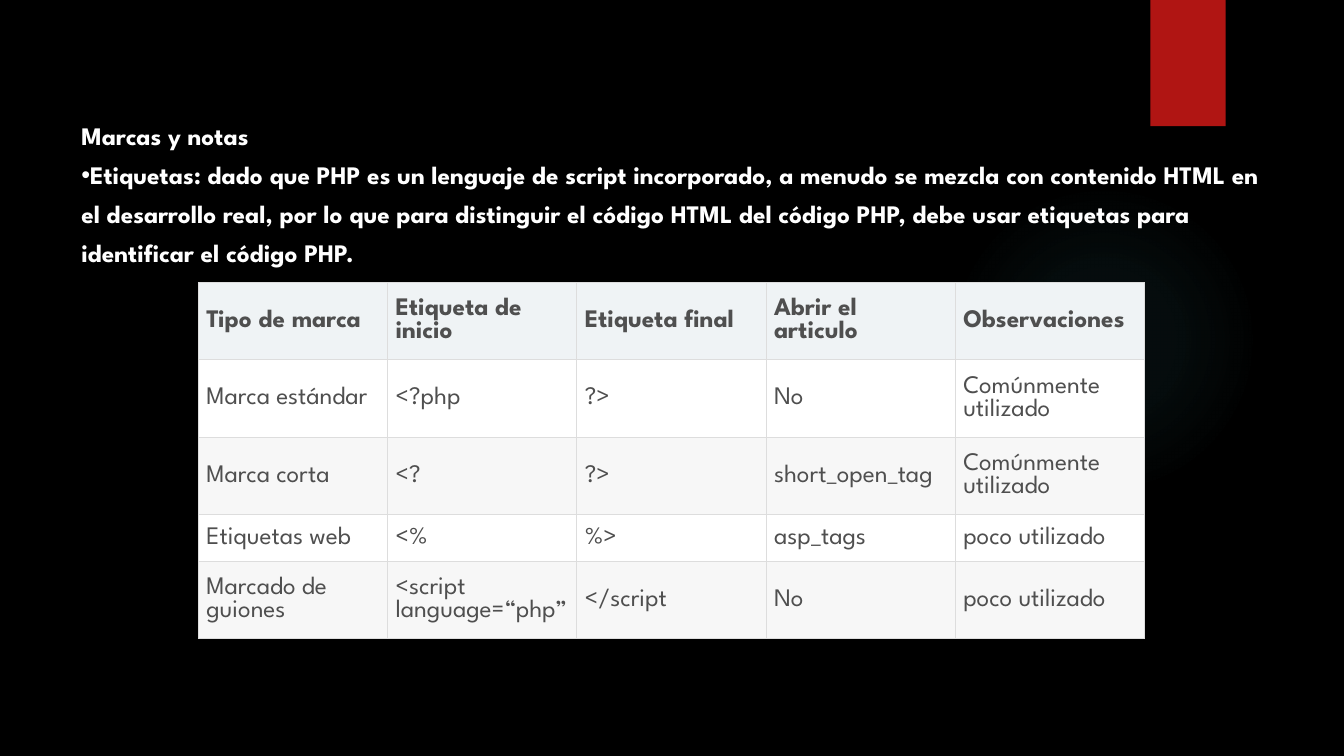
from lxml import etree
from pptx import Presentation
from pptx.dml.color import RGBColor
from pptx.enum.shapes import MSO_SHAPE as SHAPE
from pptx.enum.text import MSO_ANCHOR as ANCHOR
from pptx.oxml import parse_xml
from pptx.oxml.ns import nsdecls, qn
from pptx.util import Cm, Pt

BLACK = RGBColor(0x00, 0x00, 0x00)
WHITE = RGBColor(0xFF, 0xFF, 0xFF)
RED = RGBColor(0xB0, 0x15, 0x13)
TEAL = RGBColor(0x50, 0xB9, 0xC1)
GREY_TEXT = RGBColor(0x4F, 0x4F, 0x4F)
HEADER = RGBColor(0xEF, 0xF3, 0xF5)
BAND = RGBColor(0xF7, 0xF7, 0xF7)
BORDER = RGBColor(0xDD, 0xDD, 0xDD)
FONT = "League Spartan"


def format_run(r, color, bold):
    r.font.name = FONT
    r.font.size = Pt(18)
    r.font.bold = bold
    r.font.color.rgb = color


def add_borders(cell):
    tcPr = cell._tc.get_or_add_tcPr()
    for i, side in enumerate(("lnL", "lnR", "lnT", "lnB")):
        tcPr.insert(i, parse_xml(
            f'<a:{side} {nsdecls("a")} w="{Pt(0.75)}"><a:solidFill>'
            f'<a:srgbClr val="{BORDER}"/></a:solidFill></a:{side}>'))


prs = Presentation()
prs.slide_width = Cm(33.87)
prs.slide_height = Cm(19.05)
s = prs.slides.add_slide(prs.slide_layouts[6])
s.background.fill.solid()
s.background.fill.fore_color.rgb = BLACK

glow = s.shapes.add_shape(SHAPE.OVAL, Cm(23.9), Cm(4.65), Cm(7.82), Cm(7.82))
glow.shadow.inherit = False
glow.line.fill.background()
glow.fill.background()
stops = "".join(
    f'<a:gs pos="{pos * 1000}"><a:srgbClr val="{TEAL}">'
    f'<a:alpha val="{alpha * 1000}"/></a:srgbClr></a:gs>'
    for pos, alpha in ((0, 7), (36, 6), (69, 0)))
spPr = glow._element.spPr
spPr.replace(spPr.find(qn("a:noFill")), parse_xml(
    f'<a:gradFill {nsdecls("a")}><a:gsLst>{stops}</a:gsLst><a:path path="circle">'
    '<a:fillToRect l="50000" t="50000" r="50000" b="50000"/></a:path></a:gradFill>'))

tab = s.shapes.add_shape(SHAPE.RECTANGLE, Cm(28.99), 0, Cm(1.9), Cm(3.18))
tab.shadow.inherit = False
tab.fill.solid()
tab.fill.fore_color.rgb = RED
tab.line.fill.background()

intro = s.shapes.add_textbox(Cm(1.8), Cm(2.67), Cm(30.25), Cm(3.33))
tf = intro.text_frame
tf.word_wrap = True
tf.text = (
    "Marcas y notas\n"
    "Etiquetas: dado que PHP es un lenguaje de script incorporado, a menudo se mezcla "
    "con contenido HTML en el desarrollo real, por lo que para distinguir el código HTML "
    "del código PHP, debe usar etiquetas para identificar el código PHP.")
for p in tf.paragraphs:
    p.line_spacing = 1.3
    format_run(p.runs[0], WHITE, True)
pPr = tf.paragraphs[1]._p.get_or_add_pPr()
pPr.set("marL", "0")
pPr.set("indent", "0")
etree.SubElement(pPr, qn("a:buFont")).set("typeface", "Arial")
etree.SubElement(pPr, qn("a:buChar")).set("char", "•")

rows = [
    ("Tipo de marca", "Etiqueta de inicio", "Etiqueta final", "Abrir el articulo", "Observaciones"),
    ("Marca estándar", "<?php", "?>", "No", "Comúnmente utilizado"),
    ("Marca corta", "<?", "?>", "short_open_tag", "Comúnmente utilizado"),
    ("Etiquetas web", "<%", "%>", "asp_tags", "poco utilizado"),
    ("Marcado de guiones", "<script language=“php”", "</script", "No", "poco utilizado"),
]
heights = [1.95, 1.95, 1.95, 1.18, 1.95]
fills = [HEADER, WHITE, BAND, WHITE, BAND]

table = s.shapes.add_table(
    len(rows), len(rows[0]), Cm(5), Cm(7.12), Cm(23.87), Cm(sum(heights))).table
for column in table.columns:
    column.width = Cm(4.77)
for i, (texts, height, fill) in enumerate(zip(rows, heights, fills)):
    table.rows[i].height = Cm(height)
    for j, text in enumerate(texts):
        cell = table.cell(i, j)
        cell.text = text
        cell.vertical_anchor = ANCHOR.MIDDLE
        cell.margin_left = cell.margin_right = Cm(0.2)
        cell.margin_top = cell.margin_bottom = Cm(0.2)
        cell.fill.solid()
        cell.fill.fore_color.rgb = fill
        add_borders(cell)
        format_run(cell.text_frame.paragraphs[0].runs[0], GREY_TEXT, i == 0)

prs.save("out.pptx")
